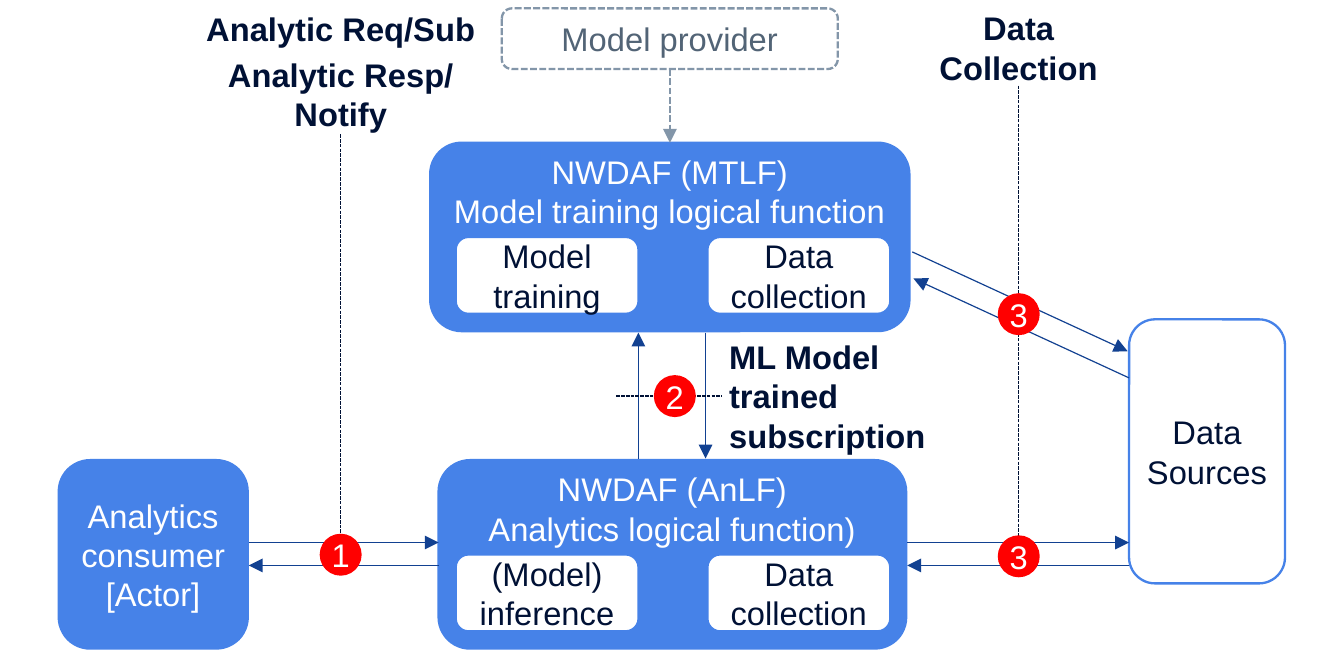
from dataclasses import dataclass

from lxml.etree import SubElement
from pptx import Presentation
from pptx.dml.color import RGBColor
from pptx.enum.dml import MSO_LINE
from pptx.enum.shapes import MSO_CONNECTOR, MSO_SHAPE
from pptx.enum.text import MSO_ANCHOR, MSO_AUTO_SIZE, PP_ALIGN
from pptx.oxml.ns import qn
from pptx.util import Pt


@dataclass(frozen=True)
class Theme:
    font: str = "Arial"
    text_size: float = 14
    thin: float = 0.5
    outline: float = 1
    ink: str = "001135"
    white: str = "FFFFFF"
    blue: str = "4682E8"
    arrow: str = "124191"
    gray: str = "8396A9"
    gray_text: str = "526476"
    red: str = "FF0000"


class DiagramBuilder:
    def __init__(self, slide, theme):
        self.slide = slide
        self.theme = theme

    def add_text(self, shape, paragraphs, color, *, bold=False, align=PP_ALIGN.CENTER,
                 anchor=MSO_ANCHOR.MIDDLE, insets=(0, 0), space_after=0):
        """Each paragraph is a string; a newline in it is a line break."""
        frame = shape.text_frame
        frame.word_wrap = True
        frame.vertical_anchor = anchor
        frame.margin_left = frame.margin_right = Pt(insets[0])
        frame.margin_top = frame.margin_bottom = Pt(insets[1])
        for index, text in enumerate(paragraphs):
            paragraph = frame.add_paragraph() if index else frame.paragraphs[0]
            paragraph.alignment = align
            paragraph.space_after = Pt(space_after)
            for number, line in enumerate(text.split("\n")):
                if number:
                    paragraph.add_line_break()
                run = paragraph.add_run()
                run.text = line
                run.font.name = self.theme.font
                run.font.size = Pt(self.theme.text_size)
                run.font.bold = bold
                run.font.color.rgb = RGBColor.from_string(color)

    def box(self, left, top, width, height, paragraphs, fill, color,
            border=None, dashed=False, **text_style):
        shape = self.slide.shapes.add_shape(
            MSO_SHAPE.ROUNDED_RECTANGLE, Pt(left), Pt(top), Pt(width), Pt(height))
        shape.shadow.inherit = False
        shape.fill.solid()
        shape.fill.fore_color.rgb = RGBColor.from_string(fill)
        self.style_line(shape.line, border or self.theme.blue, self.theme.outline, dashed)
        self.add_text(shape, paragraphs, color, **text_style)
        return shape

    def function_box(self, left, top, width, height, title, parts):
        """A network function with its two inner parts."""
        theme = self.theme
        outer = self.box(left, top, width, height, [title], theme.blue, theme.white,
                         anchor=MSO_ANCHOR.TOP)
        for part_left, part in zip((195.3, 303.2), parts):
            self.box(part_left, top + 40.4, 78.4, 33, [part], theme.white, theme.ink,
                     insets=(2.83, 2.83))
        return outer

    def badge(self, center_x, center_y, number):
        size = 18
        shape = self.slide.shapes.add_shape(
            MSO_SHAPE.OVAL, Pt(center_x - size / 2), Pt(center_y - size / 2),
            Pt(size), Pt(size))
        shape.shadow.inherit = False
        shape.fill.solid()
        shape.fill.fore_color.rgb = RGBColor.from_string(self.theme.red)
        shape.line.fill.background()
        self.add_text(shape, [number], self.theme.white, space_after=3)

    def label(self, left, top, width, height, paragraphs, **text_style):
        shape = self.slide.shapes.add_textbox(Pt(left), Pt(top), Pt(width), Pt(height))
        self.add_text(shape, paragraphs, self.theme.ink, bold=True, space_after=3,
                      **text_style)
        shape.text_frame.auto_size = MSO_AUTO_SIZE.SHAPE_TO_FIT_TEXT

    def style_line(self, line, color, width, dashed):
        line.color.rgb = RGBColor.from_string(color)
        line.width = Pt(width)
        if dashed:
            line.dash_style = MSO_LINE.SQUARE_DOT

    def connector(self, start, end, color, width, dashed=False, arrow=True):
        shape = self.slide.shapes.add_connector(
            MSO_CONNECTOR.STRAIGHT, *(Pt(value) for value in (*start, *end)))
        self.style_line(shape.line, color, width, dashed)
        properties = shape._element.spPr
        if arrow:
            SubElement(properties.find(qn("a:ln")), qn("a:tailEnd"), type="triangle")
        SubElement(properties, qn("a:effectLst"))
        return shape

    def arrow(self, start, end):
        return self.connector(start, end, self.theme.arrow, self.theme.thin)

    def leader(self, start, end):
        return self.connector(start, end, self.theme.ink, self.theme.thin,
                              dashed=True, arrow=False)


def main():
    presentation = Presentation()
    presentation.slide_width, presentation.slide_height = Pt(576), Pt(280.8)
    slide = presentation.slides.add_slide(presentation.slide_layouts[6])
    theme = Theme()
    diagram = DiagramBuilder(slide, theme)

    # Actors and network functions
    diagram.box(483.9, 136.9, 66.8, 113.2, ["Data Sources"], theme.white, theme.ink,
                insets=(2.83, 2.83))
    diagram.box(25.2, 197.3, 81, 80.8, ["Analytics consumer", "[Actor]"],
                theme.blue, theme.white)
    diagram.function_box(188, 197.3, 200.4, 80.8,
                         "NWDAF (AnLF)\nAnalytics logical function)",
                         ["(Model) inference", "Data collection"])
    training = diagram.function_box(184.4, 61.2, 205.4, 80.8,
                                    "NWDAF (MTLF)\nModel training logical function",
                                    ["Model training", "Data collection"])

    # Optional model provider
    provider = diagram.box(215.1, 3.6, 144, 26, ["Model provider"], theme.white,
                           theme.gray_text, border=theme.gray, dashed=True,
                           insets=(7.2, 3.6))
    supply = diagram.connector((287.1, 29.6), (287.1, 61.2), theme.gray, theme.outline,
                               dashed=True)
    supply.begin_connect(provider, 2)
    supply.end_connect(training, 0)

    # Request and response arrows
    request_y, response_y = 232.6, 242.4
    for left, right in ((106.6, 188), (388.8, 483.9)):
        diagram.arrow((left, request_y), (right, request_y))
        diagram.arrow((right, response_y), (left, response_y))
    diagram.arrow((391, 108), (483.3, 150.6))
    diagram.arrow((483.9, 162), (391.5, 119.4))
    diagram.arrow((273.6, 196.6), (273.6, 142.6))
    diagram.arrow((302.4, 142.6), (302.4, 196.6))

    # Dotted leaders from labels to steps
    analytics_x, collection_x = 146, 436.6
    diagram.leader((analytics_x, 57.6), (analytics_x, 229))
    diagram.leader((collection_x, 36.7), (collection_x, 229.7))
    diagram.leader((264.2, 169.8), (309.6, 169.8))

    # Numbered steps
    for center_x, center_y, number in ((analytics_x, 237.8, "1"), (289.2, 169.8, "2"),
                                       (collection_x, 134.7, "3"),
                                       (collection_x, 238.5, "3")):
        diagram.badge(center_x, center_y, number)

    # Labels
    diagram.label(82.8, 3.6, 126.6, 54, ["Analytic Req/Sub", "Analytic Resp/ Notify"],
                  anchor=MSO_ANCHOR.TOP)
    diagram.label(312.5, 144.2, 109.4, 51, ["ML Model trained subscription"],
                  align=PP_ALIGN.LEFT)
    diagram.label(389.8, 3.6, 93.6, 33.8, ["Data Collection"], anchor=MSO_ANCHOR.TOP)

    presentation.save("out.pptx")


if __name__ == "__main__":
    main()
